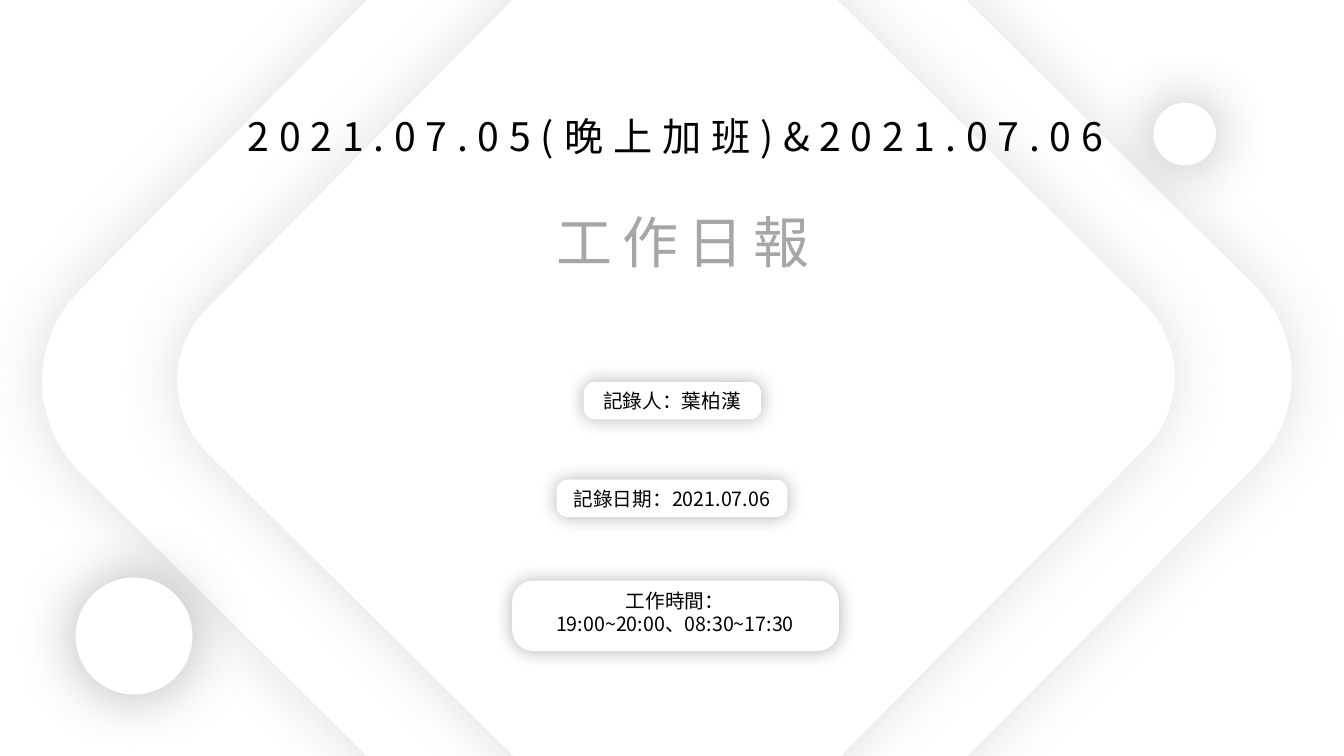
from lxml.etree import SubElement
from pptx import Presentation
from pptx.dml.color import RGBColor
from pptx.enum.shapes import MSO_SHAPE as SHAPE
from pptx.enum.text import MSO_AUTO_SIZE, PP_ALIGN
from pptx.oxml.ns import qn
from pptx.util import Inches, Pt

FONT = "Noto Sans CJK SC"
COLORS = {"paper": "FFFFFF", "ink": "000000", "muted": "A6A6A6", "soft": "595959"}

# Boxes are left, top, width, height in inches
DIAMONDS = [(1.86, -1, 9.51, 9.51), (2.91, -0.04, 7.59, 7.59)]
DIAMOND_ANGLE = 44.7
TITLES = [
    ("2021.07.05(晚上加班)&2021.07.06", (1.78, 1.07, 9.84, 0.57), 28, "ink"),
    ("工作日報", (4.4, 2.01, 4.75, 0.77), 40, "muted"),
]
CIRCLES = [(0.75, 5.73, 1.16, 1.16), (11.44, 1.02, 0.62, 0.62)]
LABELS = [
    ("記錄人：葉柏漢", (5.79, 3.79, 1.76, 0.37), (5.62, 3.81, 2.09, 0.34)),
    ("記錄日期：2021.07.06", (5.52, 4.76, 2.29, 0.37), (5.46, 4.78, 2.41, 0.34)),
    ("工作時間：\n19:00~20:00、08:30~17:30", (5.08, 5.76, 3.24, 0.7), (4.99, 5.79, 3.41, 0.57)),
]


def add_glow_shape(shapes, kind, box, color, alpha, blur, corner=None):
    """Add a white shape with a centred blurred shadow (alpha in %, blur in pt)."""
    sp = shapes.add_shape(kind, *map(Inches, box))
    sp.fill.solid()
    sp.fill.fore_color.rgb = RGBColor.from_string(COLORS["paper"])
    sp.line.fill.background()
    if corner is not None:
        sp.adjustments[0] = corner
    sp.shadow.inherit = False
    effects = sp._element.spPr.find(qn("a:effectLst"))
    shadow = SubElement(effects, qn("a:outerShdw"), blurRad=str(Pt(blur)), dist="0",
                        dir="0", algn="ctr", rotWithShape="0")
    clr = SubElement(shadow, qn("a:srgbClr"), val=COLORS[color])
    SubElement(clr, qn("a:alpha"), val=str(alpha * 1000))
    return sp


def add_text(shapes, text, box, size, color, spacing=0):
    """Add centred text; spacing is the letter spacing in points."""
    tf = shapes.add_textbox(*map(Inches, box)).text_frame
    tf.word_wrap = True
    tf.auto_size = MSO_AUTO_SIZE.SHAPE_TO_FIT_TEXT
    tf.text = text
    for p in tf.paragraphs:
        p.alignment = PP_ALIGN.CENTER
        for font in [p.font] + [r.font for r in p.runs]:
            font.size = Pt(size)
            font.name = FONT
            font.color.rgb = RGBColor.from_string(COLORS[color])
            SubElement(font._element, qn("a:ea"), typeface=FONT)
            if spacing:
                font._element.set("spc", str(spacing * 100))


def main():
    prs = Presentation()
    prs.slide_width, prs.slide_height = Inches(13.33), Inches(7.5)
    slide = prs.slides.add_slide(prs.slide_layouts[6])
    slide.background.fill.solid()
    slide.background.fill.fore_color.rgb = RGBColor.from_string(COLORS["paper"])
    shapes = slide.shapes

    for box in DIAMONDS:
        sp = add_glow_shape(shapes, SHAPE.ROUNDED_RECTANGLE, box, "soft", 19, 43, 0.134)
        sp.rotation = DIAMOND_ANGLE
    for text, box, size, color in TITLES:
        add_text(shapes, text, box, size, color, spacing=7)
    for box in CIRCLES:
        add_glow_shape(shapes, SHAPE.OVAL, box, "ink", 30, 43)
    for text, pill, box in LABELS:
        group = shapes.add_group_shape().shapes
        add_glow_shape(group, SHAPE.ROUNDED_RECTANGLE, pill, "ink", 30, 13, 0.302)
        add_text(group, text, box, 14, "ink")

    prs.save("out.pptx")


if __name__ == "__main__":
    main()
